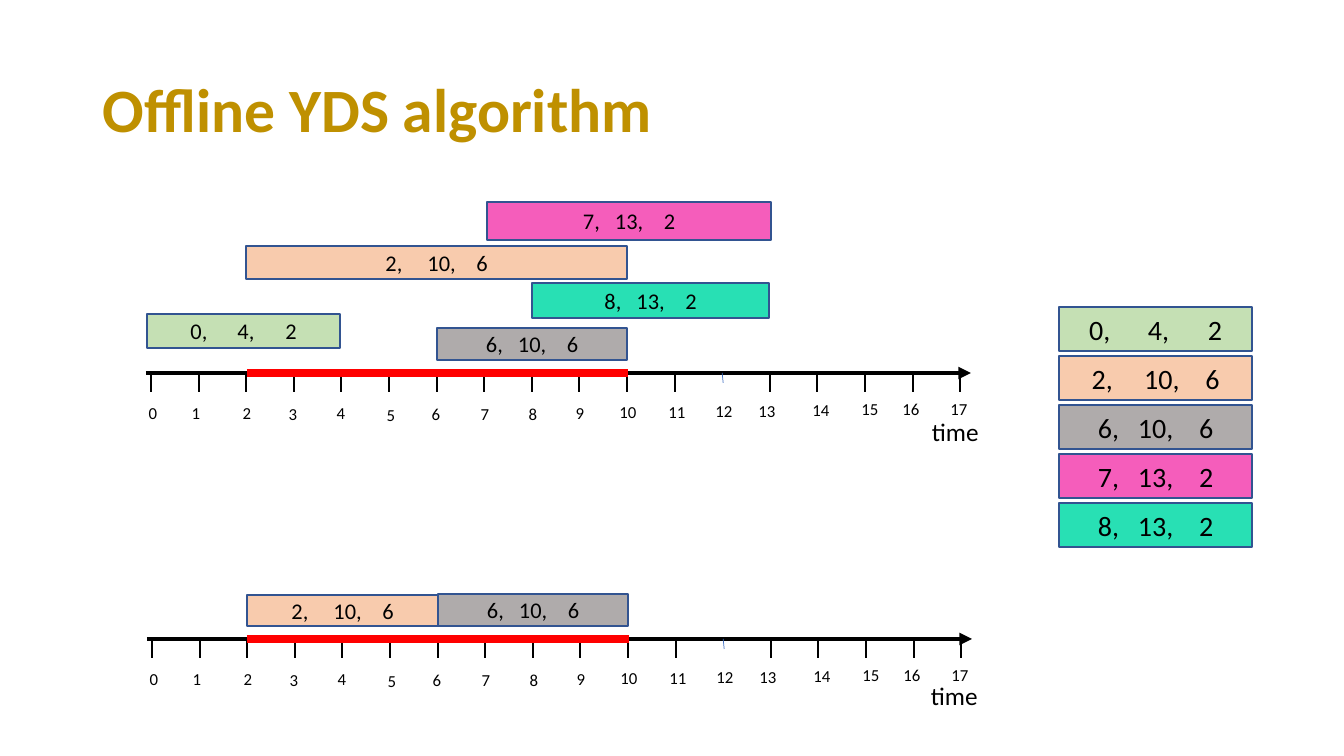
import pptx
import pptx.util
import pptx.dml.color
import pptx.enum.shapes
import pptx.enum.text
import pptx.oxml.ns
import lxml.etree

PX = 914400 / 100.8
COLOURS = {
    "title": "BF9000", "ink": "000000", "critical": "FF0000",
    "outline": "325491", "faint": "4472C4",
    "green": "C5E0B4", "peach": "F8CBAD", "grey": "AFABAB",
    "pink": "F55DBB", "teal": "28E0B4",
}
ALIGN = pptx.enum.text.PP_ALIGN
MIDDLE = pptx.enum.text.MSO_ANCHOR.MIDDLE


def px(*lengths):
    return [round(length * PX) for length in lengths]


def write(box, text, size, colour="ink", bold=False, align=ALIGN.LEFT,
          anchor=MIDDLE, inset=0, tabs=(), line_spacing=None):
    """Fill a box with one paragraph; inset and tabs are in px from the left."""
    frame = box.text_frame
    frame.word_wrap = True
    frame.vertical_anchor = anchor
    frame.margin_left = px(inset)[0]
    frame.margin_right = frame.margin_top = frame.margin_bottom = 0
    paragraph = frame.paragraphs[0]
    paragraph.alignment = align
    if line_spacing:
        paragraph.line_spacing = line_spacing
    if tabs:
        tab_list = lxml.etree.SubElement(
            paragraph._p.get_or_add_pPr(), pptx.oxml.ns.qn("a:tabLst"))
        for position in px(*tabs):
            lxml.etree.SubElement(tab_list, pptx.oxml.ns.qn("a:tab"),
                                  pos=str(position), algn="l")
    run = paragraph.add_run()
    run.text = text
    run.font.name = "Calibri"
    run.font.size = pptx.util.Pt(size)
    run.font.bold = bold
    run.font.color.rgb = pptx.dml.color.RGBColor.from_string(COLOURS[colour])


presentation = pptx.Presentation()
presentation.slide_width, presentation.slide_height = px(1344, 756)
slide = presentation.slides.add_slide(presentation.slide_layouts[5])
shapes = slide.shapes

title = shapes.title
title.left, title.top, title.width, title.height = px(93, 40, 1159, 146)
write(title, "Offline YDS algorithm", 44, "title", bold=True, inset=10,
      line_spacing=0.9)

# Two time axes, each with its ticks, labels and critical interval
FIRST_TICK, TICK_GAP = 151, 47.6
LABEL_CENTRES = [
    (153, 413), (196, 413), (247, 413), (293, 414), (341, 413), (391, 415),
    (436, 414), (485, 414), (533, 414), (580, 413), (628, 412), (677, 412),
    (724, 411), (767, 411), (821, 410), (870, 409), (911, 409), (959, 409),
]
for shift, axis_y, time_top in [(0, 373, 411), (1, 639, 675)]:
    axis_left = 146 + shift
    lines = [(axis_left, axis_y, axis_left + 825, axis_y, "ink", 3)]
    for hour, (centre_x, centre_y) in enumerate(LABEL_CENTRES):
        tick_x = FIRST_TICK + shift + TICK_GAP * hour
        if hour == 12:
            lines.append((tick_x, axis_y, tick_x + 1, axis_y + 10, "faint", 0.5))
        else:
            lines.append((tick_x, axis_y, tick_x, axis_y + 19, "ink", 1.5))
        label = shapes.add_textbox(*px(
            centre_x + shift - 20, centre_y + axis_y - 373 - 14, 40, 28))
        write(label, str(hour), 12, align=ALIGN.CENTER)
    lines.append((247, axis_y, 628 + shift, axis_y, "critical", 6))

    for x1, y1, x2, y2, colour, weight in lines:
        line = shapes.add_connector(
            pptx.enum.shapes.MSO_CONNECTOR.STRAIGHT, *px(x1, y1, x2, y2))
        line.line.color.rgb = pptx.dml.color.RGBColor.from_string(COLOURS[colour])
        line.line.width = pptx.util.Pt(weight)
        if weight == 3:
            lxml.etree.SubElement(line.line._get_or_add_ln(),
                                  pptx.oxml.ns.qn("a:tailEnd"), type="triangle")
        lxml.etree.SubElement(line._element.spPr, pptx.oxml.ns.qn("a:effectLst"))

    time_label = shapes.add_textbox(*px(922 - shift, time_top + 5, 80, 30))
    write(time_label, "time", 18, anchor=pptx.enum.text.MSO_ANCHOR.TOP, inset=10)

# Job: text, fill, column starts and text width in px at 16 pt
JOBS = [
    ("0,\t4,\t2", "green", 47, 95, 106),
    ("2,\t10,\t6", "peach", 42, 91, 102),
    ("6,\t10,\t6", "grey", 32, 81, 92),
    ("7,\t13,\t2", "pink", 32, 81, 92),
    ("8,\t13,\t2", "teal", 32, 81, 92),
]
# Bar: job number, left, top, width, height, text size
bars = [
    (0, 147, 314, 193, 34, 16),
    (1, 246, 246, 381, 33, 16),
    (2, 437, 328, 190, 32, 16),
    (3, 487, 202, 284, 38, 16),
    (4, 532, 283, 237, 35, 16),
    (1, 247, 595, 191, 31, 16),
    (2, 438, 594, 190, 32, 16),
]
bars += [(job, 1059, 307 + 49 * job, 193, 44, 20) for job in range(len(JOBS))]
for job, left, top, width, height, size in bars:
    text, fill, second, third, text_width = JOBS[job]
    scale = size / 16
    bar = shapes.add_shape(pptx.enum.shapes.MSO_SHAPE.RECTANGLE,
                           *px(left, top, width, height))
    bar.shadow.inherit = False
    bar.fill.solid()
    bar.fill.fore_color.rgb = pptx.dml.color.RGBColor.from_string(COLOURS[fill])
    bar.line.color.rgb = pptx.dml.color.RGBColor.from_string(COLOURS["outline"])
    bar.line.width = pptx.util.Pt(1)
    write(bar, text, size, inset=(width - text_width * scale) / 2,
          tabs=(second * scale, third * scale))

presentation.save("out.pptx")
